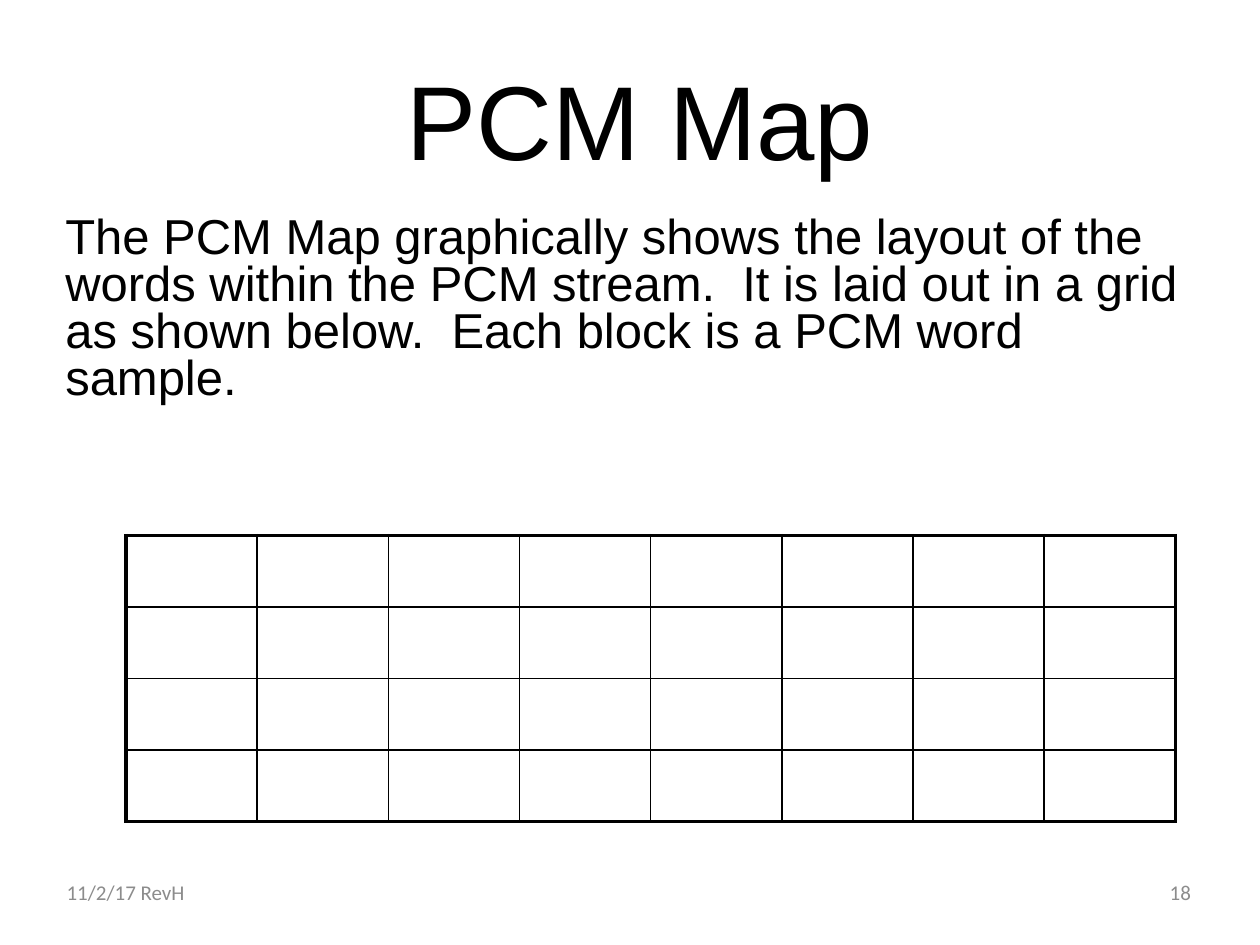
from dataclasses import dataclass

from lxml.etree import SubElement
from pptx import Presentation
from pptx.dml.color import RGBColor
from pptx.enum.text import MSO_ANCHOR, PP_ALIGN
from pptx.oxml.ns import qn
from pptx.util import Inches, Pt

COLORS = {"ink": "000000", "muted": "8C8C8C"}
ROWS, COLS = 4, 8
THICK, THIN = 2.25, 1


@dataclass
class Label:
    text: str
    box: tuple[float, float, float, float]
    size: int
    font: str = "Arial"
    color: str = "ink"
    align: PP_ALIGN = PP_ALIGN.LEFT
    anchor: MSO_ANCHOR = MSO_ANCHOR.TOP
    line: float = 1.0
    before: int = 0


LABELS = [
    Label("11/2/17 RevH", (0.43, 6.88, 2.25, 0.4), 12, "Calibri", "muted",
          anchor=MSO_ANCHOR.MIDDLE),
    Label("18", (7.3, 6.88, 2.25, 0.4), 12, "Calibri", "muted",
          PP_ALIGN.RIGHT, MSO_ANCHOR.MIDDLE),
    Label("PCM Map", (0.83, 0.5, 8.5, 1), 60, align=PP_ALIGN.CENTER,
          anchor=MSO_ANCHOR.BOTTOM, line=0.9),
    Label("The PCM Map graphically shows the layout of the words within the "
          "PCM stream.  It is laid out in a grid as shown below.  Each block "
          "is a PCM word sample.",
          (0.42, 1.67, 9.25, 1.75), 28, line=0.8, before=10),
]


def add_label(slide, label: Label) -> None:
    frame = slide.shapes.add_textbox(*map(Inches, label.box)).text_frame
    frame.word_wrap = True
    frame.vertical_anchor = label.anchor
    para = frame.paragraphs[0]
    para.text = label.text
    para.alignment = label.align
    para.line_spacing = label.line
    para.space_before = Pt(label.before)
    para.font.name = label.font
    para.font.size = Pt(label.size)
    para.font.color.rgb = RGBColor.from_string(COLORS[label.color])


def add_edge(cell, side: str, width: float) -> None:
    line = SubElement(cell._tc.get_or_add_tcPr(), qn(f"a:ln{side}"),
                      w=str(Pt(width)))
    fill = SubElement(line, qn("a:solidFill"))
    SubElement(fill, qn("a:srgbClr"), val=COLORS["ink"])


def add_grid(slide) -> None:
    box = map(Inches, (1, 4.25, 8.33, 2.27))
    table = slide.shapes.add_table(ROWS, COLS, *box).table
    table.first_row = table.horz_banding = False
    for row in range(ROWS):
        for col in range(COLS):
            cell = table.cell(row, col)
            # Outer edges are thick, inner ones thin
            outer = {"L": col == 0, "R": col == COLS - 1,
                     "T": row == 0, "B": row == ROWS - 1}
            for side, thick in outer.items():
                add_edge(cell, side, THICK if thick else THIN)
            cell.fill.background()


def main() -> None:
    deck = Presentation()
    deck.slide_width, deck.slide_height = Inches(10), Inches(7.5)
    slide = deck.slides.add_slide(deck.slide_layouts[6])

    # Footer, title and body text
    for label in LABELS:
        add_label(slide, label)

    # Word grid
    add_grid(slide)
    deck.save("out.pptx")


if __name__ == "__main__":
    main()
